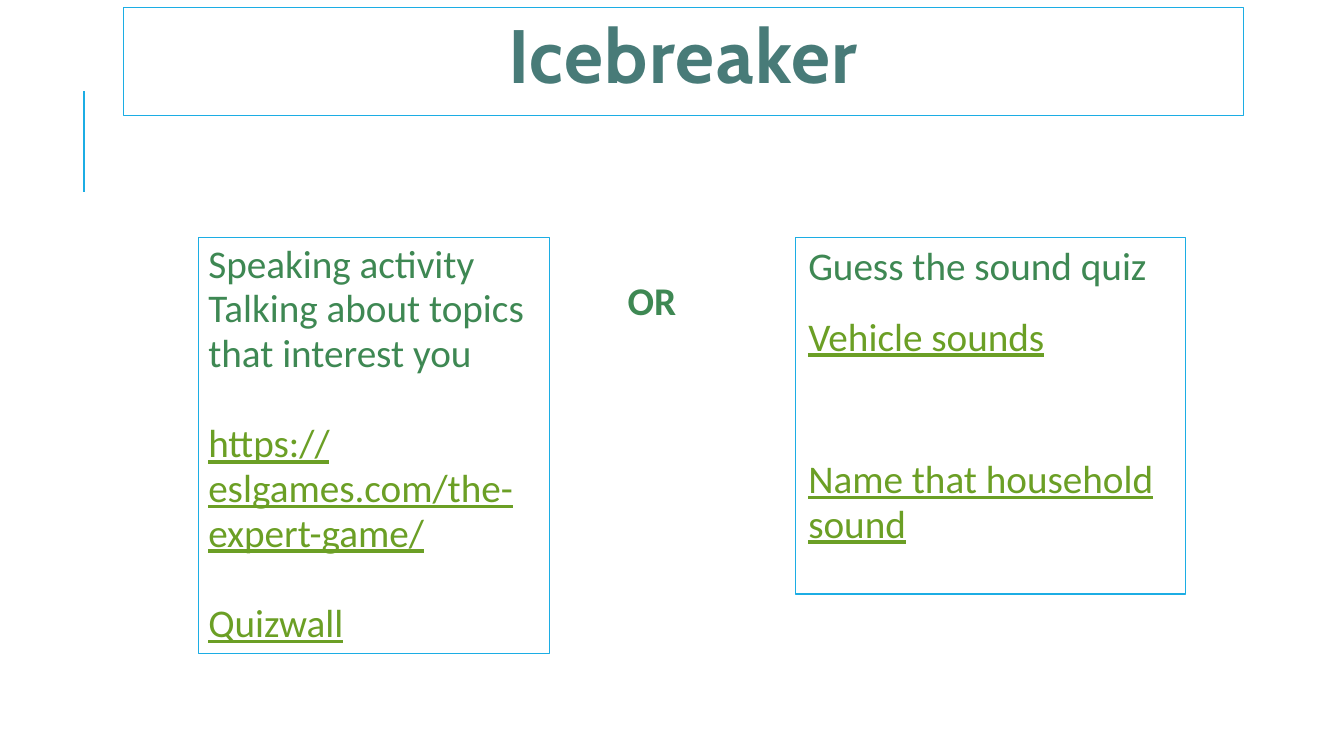
"""Build the Icebreaker slide with two activity choices."""
import pptx
import pptx.dml.color
import pptx.enum.shapes
import pptx.enum.text
import pptx.oxml.ns
import pptx.util
from lxml import etree

Cm, Pt = pptx.util.Cm, pptx.util.Pt
ANCHOR, ALIGN = pptx.enum.text.MSO_ANCHOR, pptx.enum.text.PP_ALIGN
COLORS = {"line": "1CADE4", "title": "487B78", "body": "3E8853", "link": "6B9F25"}
BODY_SIZE = 28
LINE_SPACING = 0.95
LINE_HEIGHT = 32.5


class ActivitySlide:
    """Hold the slide and its style, with one method per kind of element."""

    def __init__(self, presentation):
        """Add a title-only slide."""
        self.slide = presentation.slides.add_slide(presentation.slide_layouts[5])

    def color(self, name):
        """Return the named colour."""
        return pptx.dml.color.RGBColor.from_string(COLORS[name])

    def outline(self, line, width):
        """Draw a line in the accent colour."""
        line.color.rgb = self.color("line")
        line.width = Pt(width)

    def format(self, paragraph, face, size, color, bold=False):
        """Set the font of every run in a paragraph."""
        for run in paragraph.runs:
            font = run.font
            font.name, font.size, font.bold = face, Pt(size), bold
            font.color.rgb = self.color(color)
            font.underline = color == "link"

    def title(self, words, left, top, width, height):
        """Place and format the title placeholder."""
        heading = self.slide.shapes.title
        heading.left, heading.top = Cm(left), Cm(top)
        heading.width, heading.height = Cm(width), Cm(height)
        self.outline(heading.line, 0.75)
        frame = heading.text_frame
        frame.text = words
        frame.auto_size = pptx.enum.text.MSO_AUTO_SIZE.NONE
        frame.vertical_anchor = ANCHOR.MIDDLE
        paragraph = frame.paragraphs[0]
        paragraph.alignment = ALIGN.CENTER
        paragraph.line_spacing = 0.8
        self.format(paragraph, "Cabin", 54, "title", bold=True)
        paragraph.runs[0].font._element.set("spc", "100")

    def accent(self, x, top, bottom):
        """Draw the vertical accent line."""
        rule = self.slide.shapes.add_connector(
            pptx.enum.shapes.MSO_CONNECTOR.STRAIGHT, Cm(x), Cm(bottom), Cm(x), Cm(top))
        self.outline(rule.line, 1.5)
        etree.SubElement(rule._element.spPr, pptx.oxml.ns.qn("a:effectLst"))

    def text(self, entries, left, top, width, height,
             inset=(0.25, 0.13), framed=True, bold=False):
        """Add a text box from (words, colour, space before) entries."""
        box = self.slide.shapes.add_textbox(Cm(left), Cm(top), Cm(width), Cm(height))
        if framed:
            self.outline(box.line, 0.75)
        frame = box.text_frame
        frame.word_wrap = framed
        frame.vertical_anchor = ANCHOR.TOP
        frame.margin_left = frame.margin_right = Cm(inset[0])
        frame.margin_top = frame.margin_bottom = Cm(inset[1])
        frame.text = "\n".join(words for words, _, _ in entries)
        for paragraph, (_, color, gap) in zip(frame.paragraphs, entries):
            paragraph.line_spacing = LINE_SPACING
            paragraph.space_before = Pt(gap)
            self.format(paragraph, "Calibri", BODY_SIZE, color, bold)


def main():
    """Build and save the presentation."""
    presentation = pptx.Presentation()
    presentation.slide_width, presentation.slide_height = Cm(33.87), Cm(19.05)
    icebreaker = ActivitySlide(presentation)
    icebreaker.accent(2.11, 2.29, 4.83)
    icebreaker.title("Icebreaker", 3.11, 0.2, 28.22, 2.72)

    quiz_gap = 18.7
    icebreaker.text([
        ("Guess the sound quiz", "body", 0),
        ("Vehicle sounds", "link", quiz_gap),
        ("Name that household sound", "link", 2 * quiz_gap + LINE_HEIGHT),
    ], 20.04, 5.98, 9.83, 8.99, inset=(0.33, 0.18))
    icebreaker.text([("OR", "body", 0)], 15.57, 6.93, 1.83, 1.4,
                    framed=False, bold=True)
    icebreaker.text([
        ("Speaking activity", "body", 0),
        ("Talking about topics that interest you", "body", 0),
        ("https://eslgames.com/the-expert-game/", "link", LINE_HEIGHT),
        ("Quizwall", "link", LINE_HEIGHT),
    ], 5.0, 5.98, 8.84, 10.49)
    presentation.save("out.pptx")


if __name__ == "__main__":
    main()
